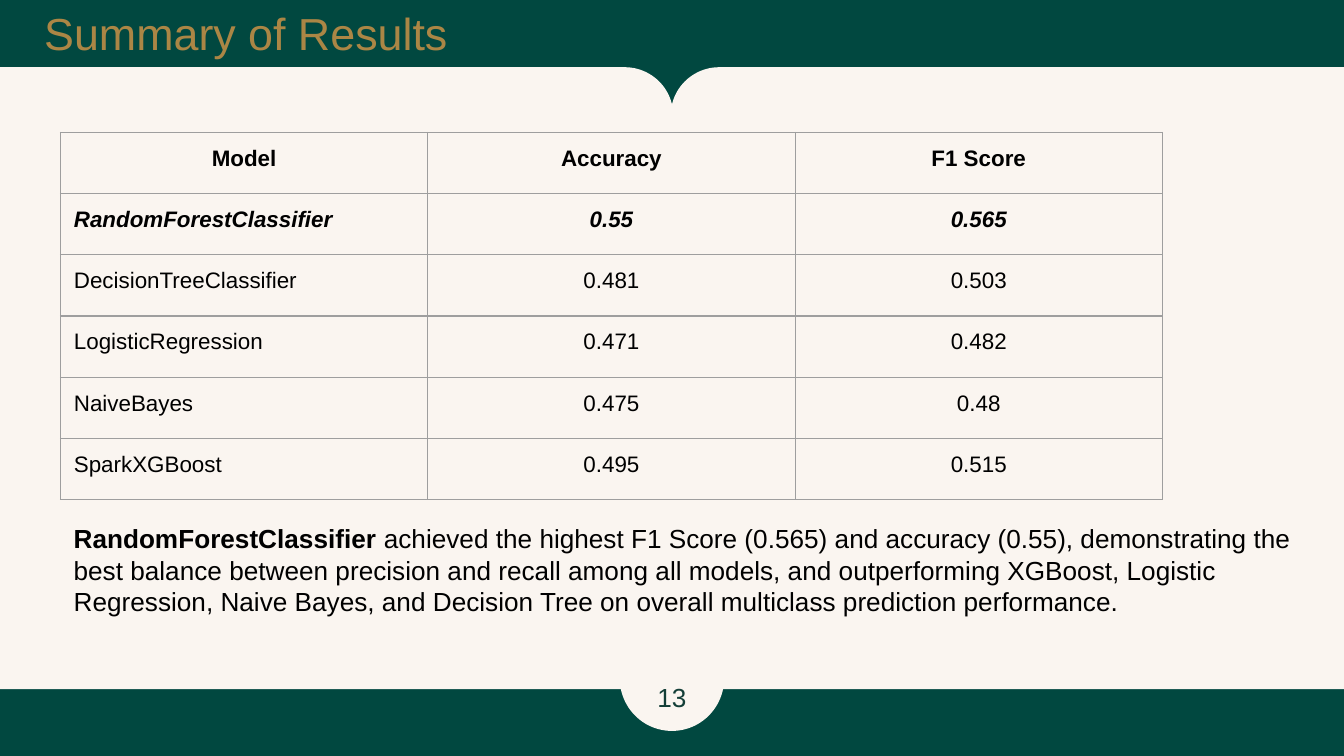
from lxml import etree
from pptx import Presentation
from pptx.dml.color import RGBColor
from pptx.enum.shapes import MSO_SHAPE
from pptx.enum.text import MSO_ANCHOR, PP_ALIGN
from pptx.oxml.ns import qn
from pptx.util import Pt

COLORS = {
    "green": "014840",
    "cream": "FAF5F0",
    "gold": "AB8645",
    "number": "133E37",
    "text": "000000",
    "border": "9E9E9E",
}
RESULTS = [
    ("Model", "Accuracy", "F1 Score"),
    ("RandomForestClassifier", "0.55", "0.565"),
    ("DecisionTreeClassifier", "0.481", "0.503"),
    ("LogisticRegression", "0.471", "0.482"),
    ("NaiveBayes", "0.475", "0.48"),
    ("SparkXGBoost", "0.495", "0.515"),
]
COLUMN_WIDTH, ROW_HEIGHT = 196.8, 32.8


def add_span(para, text, size, color, **formats):
    span = para.add_run()
    span.text = text
    for name, value in {"name": "Arial", "size": Pt(size), **formats}.items():
        setattr(span.font, name, value)
    span.font.color.rgb = RGBColor.from_string(COLORS[color])


def add_box(left, top, width, height, **formats):
    """Add a wrapping text box and return its text frame."""
    box = page.shapes.add_textbox(Pt(left), Pt(top), Pt(width), Pt(height))
    for name, value in {"word_wrap": True, **formats}.items():
        setattr(box.text_frame, name, value)
    return box.text_frame


deck = Presentation()
deck.slide_width, deck.slide_height = Pt(720), Pt(405)
page = deck.slides.add_slide(deck.slide_layouts[6])
page.background.fill.solid()
page.background.fill.fore_color.rgb = RGBColor.from_string(COLORS["green"])

# Two panels meet in a notch at the top; a disc holds the page number
panels = [
    (MSO_SHAPE.ROUND_1_RECTANGLE, 359.3, 36, 360.7, 333.2),
    (MSO_SHAPE.ROUND_1_RECTANGLE, 0, 36, 360.7, 333.2),
    (MSO_SHAPE.OVAL, 332, 335, 56, 56.6),
]
for kind, *place in panels:
    panel = page.shapes.add_shape(kind, *map(Pt, place))
    panel.shadow.inherit = False
    panel.fill.solid()
    panel.fill.fore_color.rgb = RGBColor.from_string(COLORS["cream"])
    panel.line.fill.background()
    if kind == MSO_SHAPE.ROUND_1_RECTANGLE:
        panel.adjustments[0] = 0.078
        if place[0] > 0:
            panel.element.spPr.find(qn("a:xfrm")).set("flipH", "1")

number = add_box(332, 357.1, 56, 33.1, vertical_anchor=MSO_ANCHOR.MIDDLE)
number.paragraphs[0].alignment = PP_ALIGN.CENTER
add_span(number.paragraphs[0], "13", 14, "number")

title = add_box(16.6, 2.8, 365, 42.5, margin_top=0, margin_bottom=0)
add_span(title.paragraphs[0], "Summary of Results", 24, "gold")

frame = page.shapes.add_table(
    len(RESULTS), len(RESULTS[0]), Pt(32.4), Pt(70.9),
    Pt(COLUMN_WIDTH * len(RESULTS[0])), Pt(ROW_HEIGHT * len(RESULTS)),
)
table = frame.table
table.first_row = table.horz_banding = False
for column in table.columns:
    column.width = Pt(COLUMN_WIDTH)
for row in table.rows:
    row.height = Pt(ROW_HEIGHT)

for row_index, values in enumerate(RESULTS):
    for column_index, value in enumerate(values):
        cell = table.cell(row_index, column_index)
        for side in ("left", "right", "top", "bottom"):
            setattr(cell, f"margin_{side}", Pt(7.2))
        cell.fill.background()
        properties = cell._tc.get_or_add_tcPr()
        for position, edge in enumerate(("lnL", "lnR", "lnT", "lnB")):
            line = etree.Element(qn(f"a:{edge}"), w=str(Pt(0.75)))
            fill = etree.SubElement(line, qn("a:solidFill"))
            etree.SubElement(fill, qn("a:srgbClr"), val=COLORS["border"])
            properties.insert(position, line)
        para = cell.text_frame.paragraphs[0]
        centered = row_index == 0 or column_index > 0
        para.alignment = PP_ALIGN.CENTER if centered else PP_ALIGN.LEFT
        add_span(para, value, 12, "text", bold=row_index < 2, italic=row_index == 1)

summary = add_box(32.4, 276.5, 676, 58.3).paragraphs[0]
add_span(summary, "RandomForestClassifier", 14, "text", bold=True)
add_span(
    summary,
    " achieved the highest F1 Score (0.565) and accuracy (0.55), demonstrating the "
    "best balance between precision and recall among all models, and outperforming "
    "XGBoost, Logistic Regression, Naive Bayes, and Decision Tree on overall "
    "multiclass prediction performance.",
    14, "text", bold=False,
)

deck.save("out.pptx")
